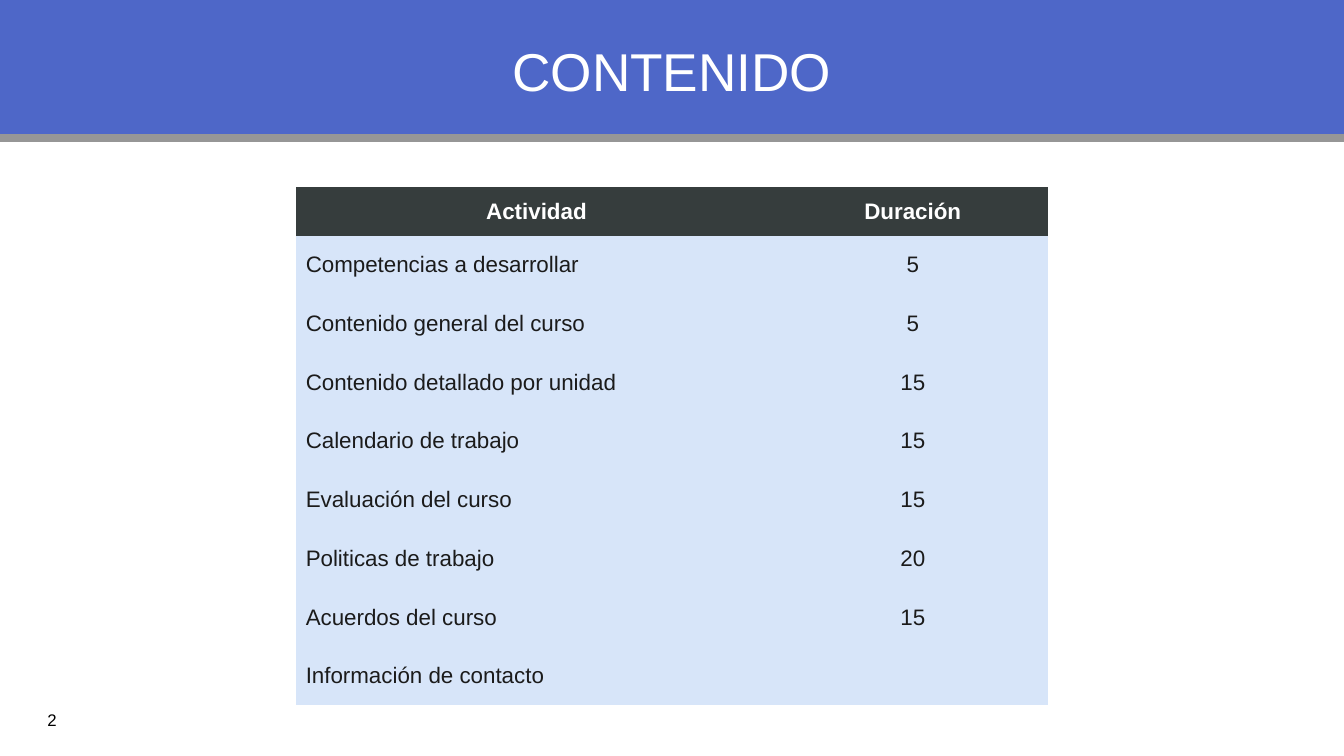
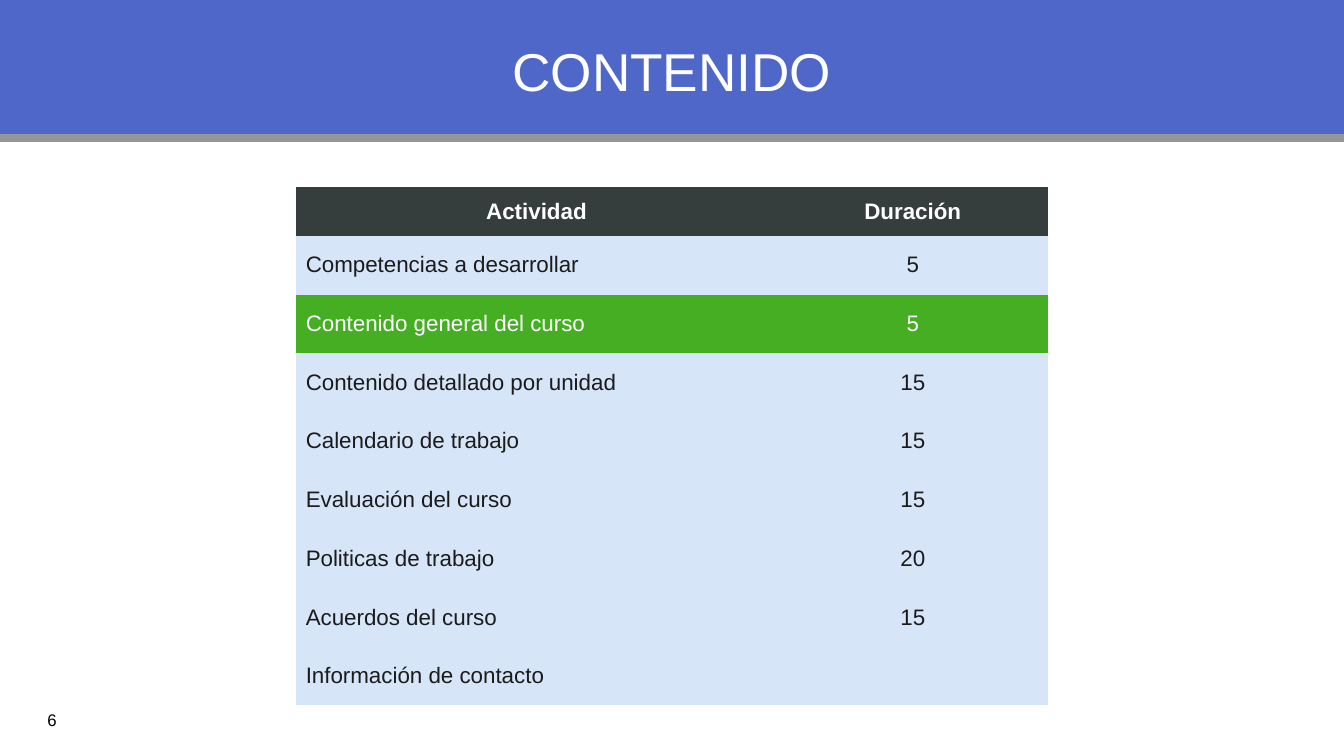
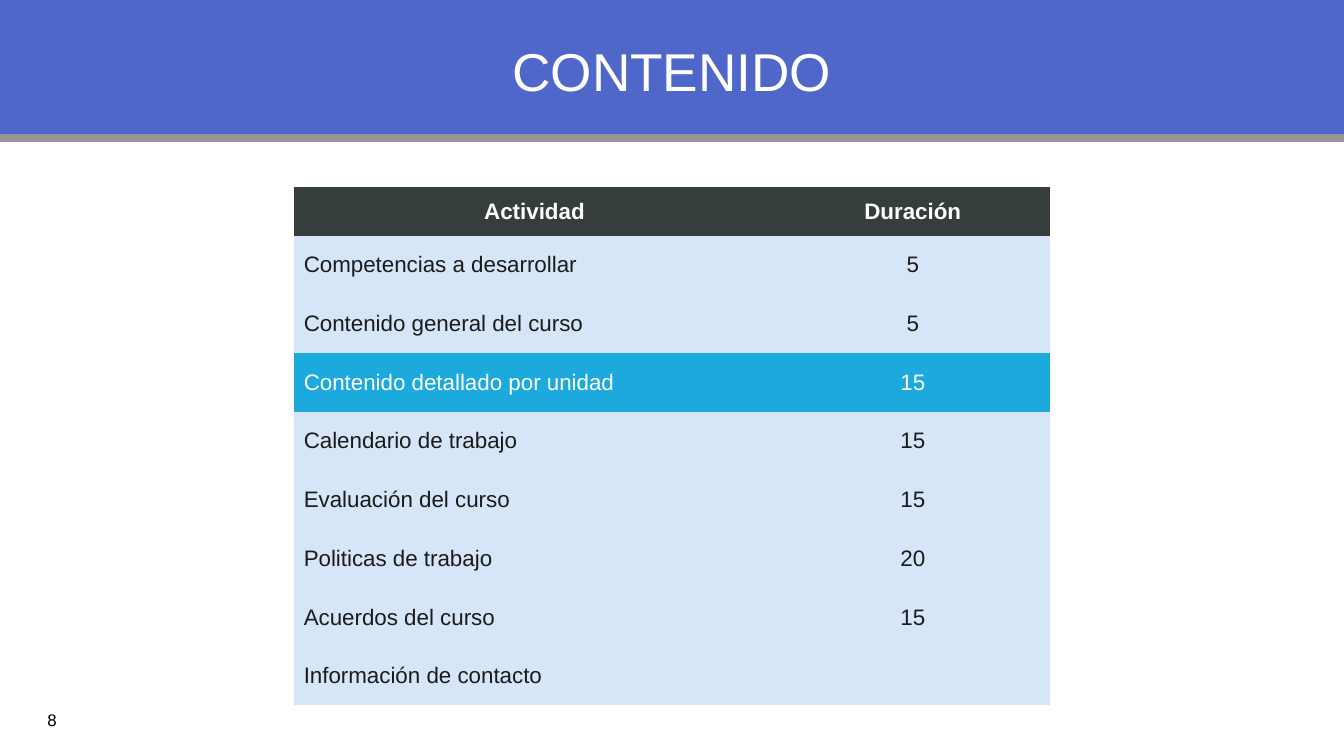
"""Build three agenda slides that share a title band and an activity table."""
from pptx import Presentation
from pptx.dml.color import RGBColor
from pptx.enum.shapes import MSO_CONNECTOR, MSO_SHAPE
from pptx.enum.text import MSO_ANCHOR, PP_ALIGN
from pptx.oxml.ns import qn
from pptx.util import Inches, Pt
from lxml import etree

RECTANGLE = MSO_SHAPE.RECTANGLE
STRAIGHT = MSO_CONNECTOR.STRAIGHT
MIDDLE = MSO_ANCHOR.MIDDLE
CENTER, RIGHT, JUSTIFY = PP_ALIGN.CENTER, PP_ALIGN.RIGHT, PP_ALIGN.JUSTIFY

FONT = "Arial"
COLORS = {
    "band": "4E67C8",
    "rule": "969696",
    "white": "FFFFFF",
    "black": "000000",
    "header": "363D3D",
    "row": "D7E5F9",
    "text": "1B1B1B",
    "green": "45AE22",
    "cyan": "1CAADE",
}
SLIDE_WIDTH, SLIDE_HEIGHT = 13.34, 7.5
BAND_HEIGHT, RULE_TOP = 1.36, 1.37
TABLE_TOP, TABLE_HEIGHT, HEADER_HEIGHT = 1.86, 5.14, 0.48
ACTIVITY_WIDTH = 4.78
PLAIN_TABLE_STYLE = "{2D5ABB26-0587-4C30-8999-92F81FD0307C}"

HEADINGS = ("Actividad", "Duración")
ACTIVITIES = [
    ("Competencias a desarrollar", "5"),
    ("Contenido general del curso", "5"),
    ("Contenido detallado por unidad", "15"),
    ("Calendario de trabajo", "15"),
    ("Evaluación del curso", "15"),
    ("Politicas de trabajo", "20"),
    ("Acuerdos del curso", "15"),
    ("Información de contacto", ""),
]
AGENDAS = [
    {"number": "2", "duration_width": 2.69},
    {"number": "6", "duration_width": 2.69,
     "current": "Contenido general del curso", "highlight": "green"},
    {"number": "8", "duration_width": 2.73,
     "current": "Contenido detallado por unidad", "highlight": "cyan"},
]


def color(name):
    return RGBColor.from_string(COLORS[name])


def fill_with(target, name):
    target.fill.solid()
    target.fill.fore_color.rgb = color(name)


def write(paragraph, text, size, color_name, alignment, bold=False):
    paragraph.text = text
    paragraph.alignment = alignment
    paragraph.font.name = FONT
    paragraph.font.size = Pt(size)
    paragraph.font.bold = bold
    paragraph.font.color.rgb = color(color_name)


def add_band(slide):
    band = slide.shapes.add_shape(
        RECTANGLE, 0, 0, Inches(SLIDE_WIDTH), Inches(BAND_HEIGHT))
    band.shadow.inherit = False
    fill_with(band, "band")
    band.line.fill.background()
    rule = slide.shapes.add_connector(
        STRAIGHT, 0, Inches(RULE_TOP), Inches(SLIDE_WIDTH), Inches(RULE_TOP))
    rule.line.color.rgb = color("rule")
    rule.line.width = Pt(6)
    etree.SubElement(rule.element.spPr, qn("a:effectLst"))


def add_label(slide, box, text, size, color_name, alignment):
    label = slide.shapes.add_textbox(*map(Inches, box))
    frame = label.text_frame
    frame.word_wrap = True
    frame.vertical_anchor = MIDDLE
    paragraph = frame.paragraphs[0]
    write(paragraph, text, size, color_name, alignment)
    return paragraph


def add_row(table, index, values, fill, text_color, alignments, bold=False):
    for column, (text, alignment) in enumerate(zip(values, alignments)):
        cell = table.cell(index, column)
        cell.vertical_anchor = MIDDLE
        fill_with(cell, fill)
        write(cell.text_frame.paragraphs[0], text, 16, text_color, alignment, bold)


def add_agenda(slide, duration_width, current=None, highlight=None):
    width = ACTIVITY_WIDTH + duration_width
    graphic_frame = slide.shapes.add_table(
        len(ACTIVITIES) + 1, len(HEADINGS), Inches((SLIDE_WIDTH - width) / 2),
        Inches(TABLE_TOP), Inches(width), Inches(TABLE_HEIGHT))
    for style in graphic_frame.element.iter(qn("a:tableStyleId")):
        style.text = PLAIN_TABLE_STYLE
    table = graphic_frame.table
    table.horz_banding = False
    for column, column_width in zip(table.columns, (ACTIVITY_WIDTH, duration_width)):
        column.width = Inches(column_width)
    row_height = (TABLE_HEIGHT - HEADER_HEIGHT) / len(ACTIVITIES)
    for index, row in enumerate(table.rows):
        row.height = Inches(row_height if index else HEADER_HEIGHT)

    add_row(table, 0, HEADINGS, "header", "white", (CENTER, CENTER), bold=True)
    for index, values in enumerate(ACTIVITIES, start=1):
        is_current = values[0] == current
        add_row(table, index, values, highlight if is_current else "row",
                "white" if is_current else "text", (JUSTIFY, CENTER))


def add_agenda_slide(presentation, number, **agenda):
    slide = presentation.slides.add_slide(presentation.slide_layouts[6])
    add_band(slide)
    add_label(slide, (0.09, 6.99, 0.57, 0.3), number, 12, "black", RIGHT)
    title = add_label(slide, (1.17, 0.14, 11, 1.2), "CONTENIDO", 38, "white", CENTER)
    title.line_spacing = 0.9
    add_agenda(slide, **agenda)


def main():
    presentation = Presentation()
    presentation.slide_width = Inches(SLIDE_WIDTH)
    presentation.slide_height = Inches(SLIDE_HEIGHT)
    for agenda in AGENDAS:
        add_agenda_slide(presentation, **agenda)
    presentation.save("out.pptx")


if __name__ == "__main__":
    main()
